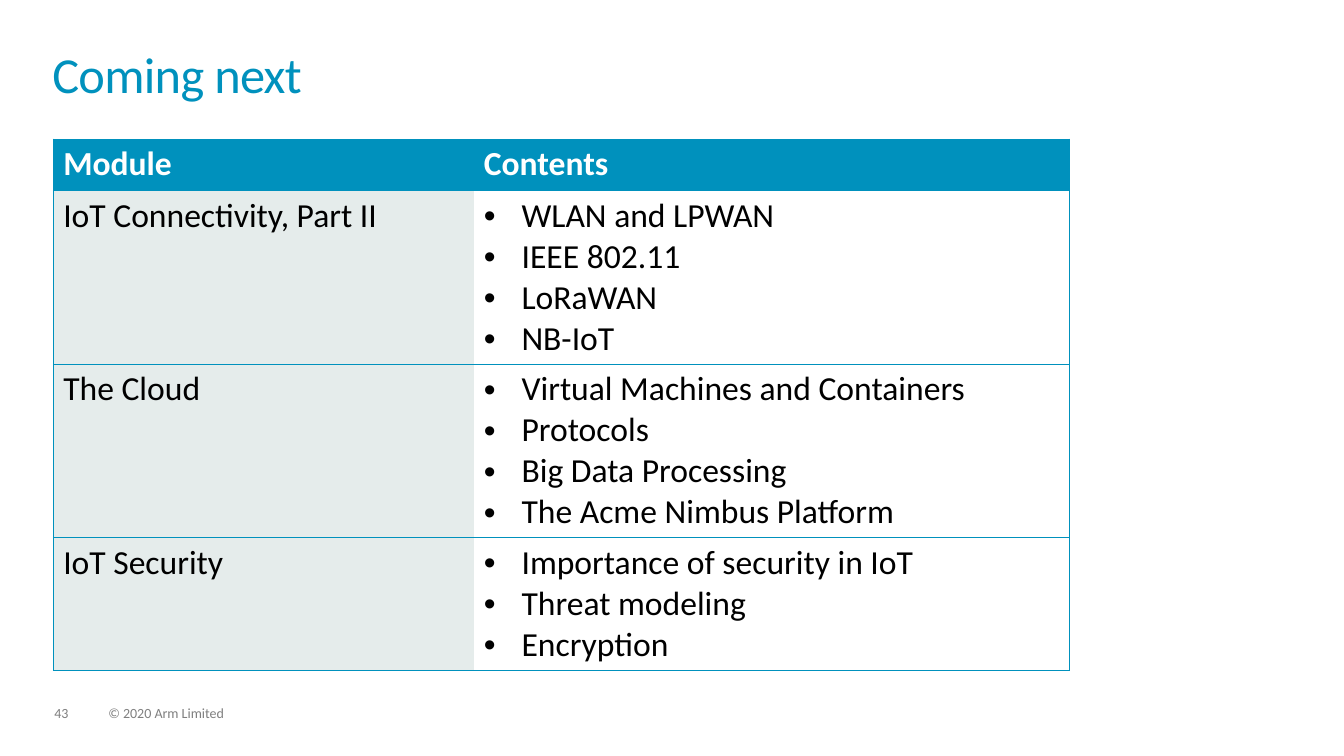
import pptx
import pptx.dml.color
import pptx.enum.text
import pptx.oxml.ns
import pptx.util
from lxml import etree

Cm = pptx.util.Cm
Pt = pptx.util.Pt

MODULES = [
    ("IoT Connectivity, Part II", ["WLAN and LPWAN", "IEEE 802.11", "LoRaWAN", "NB-IoT"]),
    ("The Cloud", ["Virtual Machines and Containers", "Protocols",
                   "Big Data Processing", "The Acme Nimbus Platform"]),
    ("IoT Security", ["Importance of security in IoT", "Threat modeling", "Encryption"]),
]


def rgb(value):
    return pptx.dml.color.RGBColor.from_string(value)


def add_element(parent, tag, **attributes):
    element = etree.SubElement(parent, pptx.oxml.ns.qn(tag))
    for key, value in attributes.items():
        element.set(key, str(value))
    return element


def write(frame, text, size, color, bold=False, line=1.0, tracking=0, bullet=False):
    """Fill a text frame with one paragraph per line of text."""
    for number, content in enumerate(text.split("\n")):
        paragraph = frame.paragraphs[0] if number == 0 else frame.add_paragraph()
        if bullet:
            properties = paragraph._p.get_or_add_pPr()
            properties.set("marL", str(Cm(0.95)))
            properties.set("indent", str(-Cm(0.95)))
            add_element(properties, "a:buFont", typeface="Arial")
            add_element(properties, "a:buChar", char="•")
        paragraph.line_spacing = line
        run = paragraph.add_run()
        run.text = content
        run.font.name = "Calibri"
        run.font.size = Pt(size)
        run.font.bold = bold
        run.font.color.rgb = rgb(color)
        if tracking:
            run.font._element.set("spc", str(round(tracking * 100)))


class ModuleSlide:
    BLUE, PALE, WHITE, BLACK, GREY = "0091BD", "E5ECEB", "FFFFFF", "000000", "7F7F7F"
    TABLE_SIZE = 24

    def __init__(self, presentation):
        self.slide = presentation.slides.add_slide(presentation.slide_layouts[6])

    def text(self, left, top, width, height, content, **style):
        box = self.slide.shapes.add_textbox(Cm(left), Cm(top), Cm(width), Cm(height))
        frame = box.text_frame
        frame.word_wrap = True
        frame.vertical_anchor = pptx.enum.text.MSO_ANCHOR.TOP
        frame.margin_left = frame.margin_right = frame.margin_top = frame.margin_bottom = 0
        write(frame, content, **style)

    def borders(self, cell, sides):
        """Rule the given sides of a cell and leave the others bare."""
        properties = cell._tc.get_or_add_tcPr()
        for side in "LRTB":
            line = add_element(properties, f"a:ln{side}", w=Pt(0.5))
            if side in sides:
                fill = add_element(line, "a:solidFill")
                add_element(fill, "a:srgbClr", val=self.BLUE)
            else:
                add_element(line, "a:noFill")

    def cell(self, cell, content, sides, fill, color, **style):
        self.borders(cell, sides)
        if fill:
            cell.fill.solid()
            cell.fill.fore_color.rgb = rgb(fill)
        else:
            cell.fill.background()
        write(cell.text_frame, content, size=self.TABLE_SIZE, color=color, **style)

    def module_table(self, left, top, widths, modules):
        line_height, padding = 1.03, 0.26
        heights = [line_height + padding]
        heights += [line_height * len(contents) + padding for _, contents in modules]
        table = self.slide.shapes.add_table(
            len(heights), len(widths), Cm(left), Cm(top),
            Cm(sum(widths)), Cm(sum(heights))).table
        table.first_row = table.horz_banding = False
        for column, width in zip(table.columns, widths):
            column.width = Cm(width)
        for row, height in zip(table.rows, heights):
            row.height = Cm(height)
        for index, heading in enumerate(("Module", "Contents")):
            self.cell(table.cell(0, index), heading, "LTB" if index == 0 else "RTB",
                      self.BLUE, self.WHITE, bold=True)
        for row, (module, contents) in enumerate(modules, start=1):
            self.cell(table.cell(row, 0), module, "LTB", self.PALE, self.BLACK)
            self.cell(table.cell(row, 1), "\n".join(contents), "RTB", None,
                      self.BLACK, bullet=True)


def main():
    presentation = pptx.Presentation()
    presentation.slide_width, presentation.slide_height = Cm(33.87), Cm(19.05)
    page = ModuleSlide(presentation)
    page.text(1.32, 1.32, 31.2, 1.83, "Coming next",
              size=36, color=page.BLUE, line=0.85, tracking=-0.5)
    page.module_table(1.34, 3.5, (10.6, 15.0), MODULES)
    for left, width, content in ((1.37, 0.86, "43"), (2.73, 4.34, "© 2020 Arm Limited")):
        page.text(left, 17.8, width, 0.38, content, size=10, color=page.GREY, line=0.9)
    presentation.save("out.pptx")


if __name__ == "__main__":
    main()
